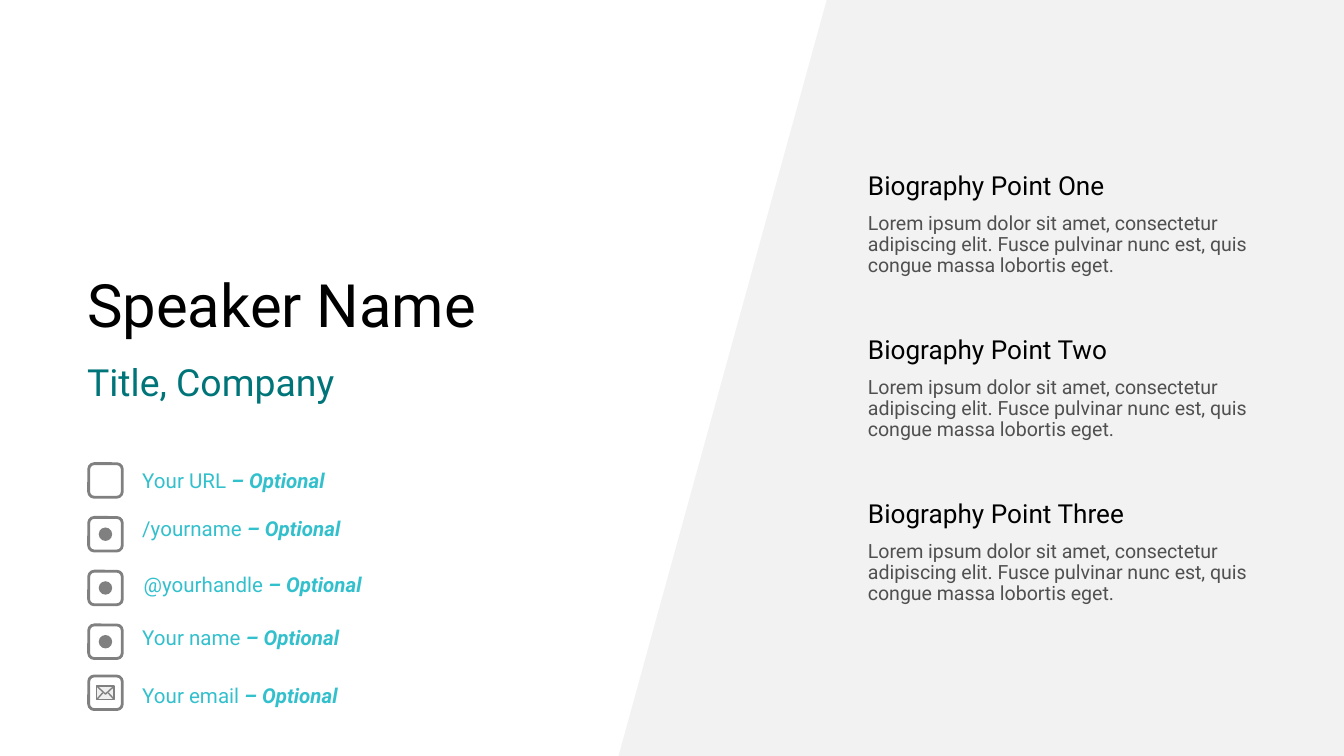
from dataclasses import dataclass

from pptx import Presentation
from pptx.dml.color import RGBColor
from pptx.enum.shapes import MSO_CONNECTOR, MSO_SHAPE
from pptx.enum.text import MSO_ANCHOR, MSO_AUTO_SIZE, PP_ALIGN
from pptx.oxml import parse_xml
from pptx.oxml.ns import nsdecls
from pptx.util import Inches, Pt

TOP, BOTTOM = MSO_ANCHOR.TOP, MSO_ANCHOR.BOTTOM
LEFT = PP_ALIGN.LEFT
NO_FIT = MSO_AUTO_SIZE.NONE
ROUNDED, OVAL, RECT = MSO_SHAPE.ROUNDED_RECTANGLE, MSO_SHAPE.OVAL, MSO_SHAPE.RECTANGLE
STRAIGHT = MSO_CONNECTOR.STRAIGHT
TITLE_ONLY = 5


@dataclass(frozen=True)
class Theme:
    font: str = "Roboto"
    ink: str = "000000"
    teal: str = "007579"
    aqua: str = "33C0CD"
    body: str = "505050"
    panel: str = "F2F2F2"
    icon: str = "808080"
    paper: str = "EFEFEF"
    name_size: float = 32
    role_size: float = 20
    heading_size: float = 14
    body_size: float = 10.5
    link_size: float = 11


T = Theme()
LOREM = ("Lorem ipsum dolor sit amet, consectetur adipiscing elit. "
         "Fusce pulvinar nunc est, quis congue massa lobortis eget.")
POINTS = ["One", "Two", "Three"]
LINKS = [
    ("Your URL ", "– Optional", 0.96, 3.45, 3.45, None),
    ("/yourname ", "– Optional", 0.96, 3.81, 3.85, "dot"),
    ("@yourhandle ", "– Optional", 0.97, 4.23, 4.25, "dot"),
    ("Your name ", "– Optional", 0.96, 4.62, 4.65, "dot"),
    ("Your email", " – Optional", 0.96, 5.05, 5.03, "envelope"),
]
ICON_LEFT, ICON_SIZE = 0.66, 0.25


def rgb(value):
    return RGBColor.from_string(value)


def add_run(p, text, size, color, accent=False):
    r = p.add_run()
    r.text = text
    r.font.name = T.font
    r.font.size = Pt(size)
    r.font.color.rgb = rgb(color)
    r.font.bold = r.font.italic = accent


def fill_text(sp, box, text, size, color, spacing=0.9, before=10, anchor=TOP):
    sp.left, sp.top, sp.width, sp.height = map(Inches, box)
    tf = sp.text_frame
    tf.word_wrap = True
    tf.auto_size = NO_FIT
    tf.vertical_anchor = anchor
    p = tf.paragraphs[0]
    p.alignment = LEFT
    p.line_spacing = spacing
    p.space_before = Pt(before)
    add_run(p, text, size, color)
    return p


def add_text(s, box, text, size, color, **options):
    sp = s.shapes.add_textbox(*map(Inches, box))
    return fill_text(sp, box, text, size, color, **options)


def style_shape(sp, fill=None, line=None, width=0.75):
    sp.shadow.inherit = False
    if fill:
        sp.fill.solid()
        sp.fill.fore_color.rgb = rgb(fill)
    else:
        sp.fill.background()
    if line:
        sp.line.color.rgb = rgb(line)
        sp.line.width = Pt(width)
    else:
        sp.line.fill.background()


def add_shape(s, kind, box, **style):
    sp = s.shapes.add_shape(kind, *map(Inches, box))
    style_shape(sp, **style)


def add_outline(s, points, close=True, **style):
    (x, y), *rest = [(Inches(px), Inches(py)) for px, py in points]
    builder = s.shapes.build_freeform(x, y)
    builder.add_line_segments(rest, close=close)
    style_shape(builder.convert_to_shape(), **style)


def add_line(s, start, end):
    cn = s.shapes.add_connector(STRAIGHT, *map(Inches, start + end))
    cn.line.color.rgb = rgb(T.icon)
    cn.line.width = Pt(0.75)
    cn._element.spPr.append(parse_xml(f"<a:effectLst {nsdecls('a')}/>"))


def add_envelope(s, cx, cy):
    w, h = 0.13, 0.1
    left, right, top, bottom = cx - w / 2, cx + w / 2, cy - h / 2, cy + h / 2
    add_shape(s, RECT, (left, top, w, h), fill=T.paper, line=T.icon)
    add_outline(s, [(left, top), (cx, cy + 0.01), (right, top)], close=False, line=T.icon)
    for x, side in ((left, -1), (right, 1)):
        add_line(s, (x, bottom), (cx + side * 0.02, cy))


def add_icon(s, top, mark):
    add_shape(s, ROUNDED, (ICON_LEFT, top, ICON_SIZE, ICON_SIZE), line=T.icon, width=1.5)
    cx, cy = ICON_LEFT + ICON_SIZE / 2, top + ICON_SIZE / 2
    if mark == "dot":
        add_shape(s, OVAL, (cx - 0.05, cy - 0.05, 0.1, 0.1), fill=T.icon)
    elif mark == "envelope":
        add_envelope(s, cx, cy)


def add_link(s, label, note, left, top, icon_top, mark):
    add_icon(s, icon_top, mark)
    p = add_text(s, (left, top, 2.71, 0.29), label, T.link_size, T.aqua)
    add_run(p, note, T.link_size, T.aqua, accent=True)


def add_point(s, top, number):
    add_text(s, (6.36, top, 3.22, 0.29), f"Biography Point {number}", T.heading_size, T.ink)
    add_text(s, (6.36, top + 0.3, 3.22, 0.65), LOREM, T.body_size, T.body)


def main():
    prs = Presentation()
    prs.slide_width = Inches(10)
    prs.slide_height = prs.slide_width * 9 // 16
    s = prs.slides.add_slide(prs.slide_layouts[TITLE_ONLY])
    add_outline(s, [(4.59, 5.67), (6.16, -0.03), (10.03, -0.03), (10.03, 5.67)], fill=T.panel)
    fill_text(s.shapes.title, (0.55, 2.06, 4.81, 0.52), "Speaker Name",
              T.name_size, T.ink, spacing=Pt(35), before=0, anchor=BOTTOM)
    add_text(s, (0.55, 2.62, 3.55, 0.44), "Title, Company",
             T.role_size, T.teal, spacing=1.0, before=0)
    for i, number in enumerate(POINTS):
        add_point(s, 1.24 + i * 1.22, number)
    for link in LINKS:
        add_link(s, *link)
    prs.save("out.pptx")


if __name__ == "__main__":
    main()
